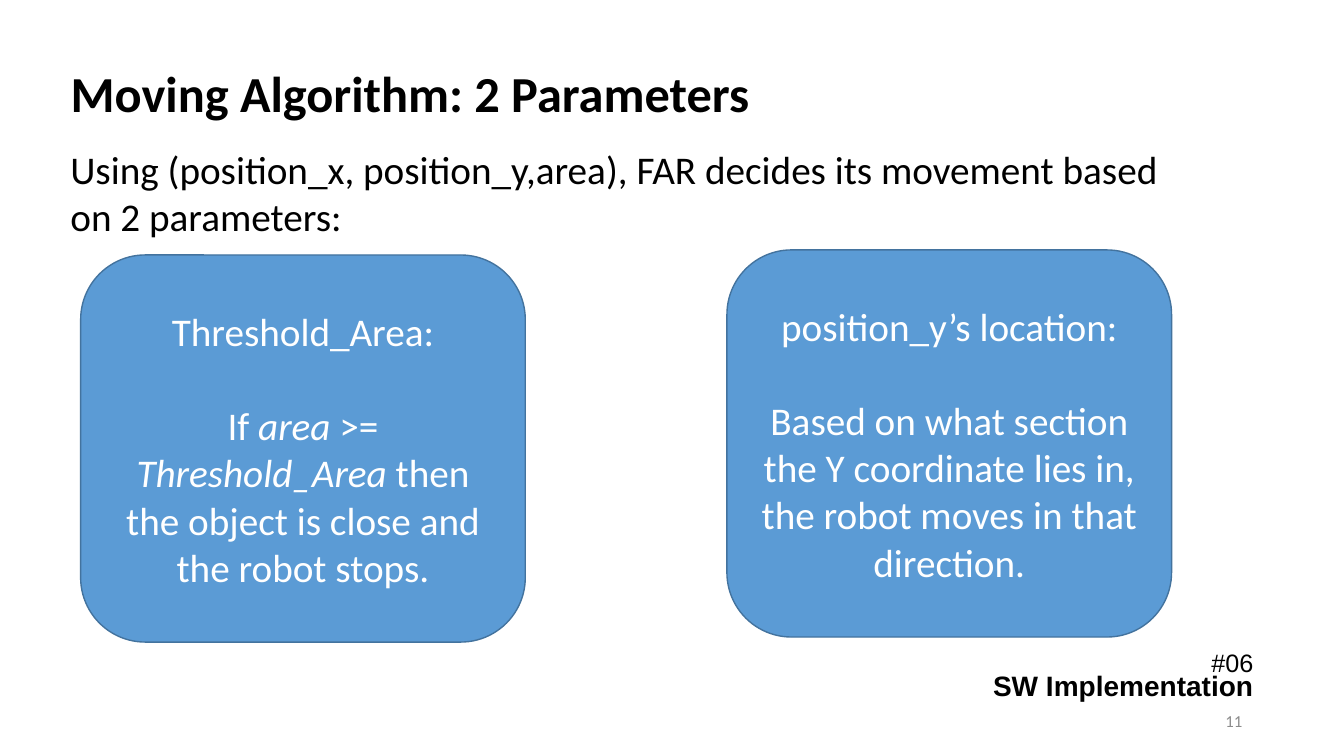
from pptx import Presentation
from pptx import util as u
from pptx.dml.color import RGBColor
from pptx.enum import shapes, text

PX = 9144  # EMU in one px, 100 px to the inch
COLORS = {
    "ink": "000000",
    "muted": "8C8C8C",
    "card": "5B9BD5",
    "card_edge": "43739E",
    "on_card": "FFFFFF",
}
LEFT, CENTER, RIGHT = text.PP_ALIGN.LEFT, text.PP_ALIGN.CENTER, text.PP_ALIGN.RIGHT
TOP, MIDDLE = text.MSO_ANCHOR.TOP, text.MSO_ANCHOR.MIDDLE


def color(name):
    return RGBColor.from_string(COLORS[name])


def emu(box):
    return [u.Emu(length * PX) for length in box]


def style(paragraph, size, ink="ink", face="Calibri", bold=False, align=LEFT):
    paragraph.alignment = align
    font = paragraph.font
    font.name, font.size, font.bold = face, u.Pt(size), bold
    font.color.rgb = color(ink)


def add_label(slide, box, wording, anchor=TOP, **looks):
    frame = slide.shapes.add_textbox(*emu(box)).text_frame
    frame.word_wrap = True
    frame.vertical_anchor = anchor
    frame.text = wording
    style(frame.paragraphs[0], **looks)


def add_heading(slide, box):
    title = slide.shapes.title
    title.left, title.top, title.width, title.height = emu(box)
    frame = title.text_frame
    frame.text = "Moving Algorithm: 2 Parameters"
    frame.word_wrap = True
    frame.auto_size = text.MSO_AUTO_SIZE.NONE
    frame.vertical_anchor = MIDDLE
    heading = frame.paragraphs[0]
    heading.line_spacing = 0.9
    style(heading, 36, bold=True)


def add_parameter_card(slide, box, name, rule):
    """Rounded card; rule is a list of (wording, italic) pieces."""
    card = slide.shapes.add_shape(shapes.MSO_SHAPE.ROUNDED_RECTANGLE, *emu(box))
    card.shadow.inherit = False
    card.fill.solid()
    card.fill.fore_color.rgb = color("card")
    card.line.color.rgb = color("card_edge")
    card.line.width = u.Pt(1)

    frame = card.text_frame
    frame.word_wrap = True
    frame.vertical_anchor = MIDDLE
    frame.text = name
    explanation = frame.add_paragraph()
    explanation.space_before = u.Pt(34)
    for wording, italic in rule:
        piece = explanation.add_run()
        piece.text = wording
        piece.font.italic = italic
    for paragraph in frame.paragraphs:
        style(paragraph, 28, "on_card", align=CENTER)


def add_footer(slide, box):
    left, top, width, height = box
    # Section number and name, right-aligned to the box
    add_label(slide, (left, top, width, 40), "#06",
              size=18, face="Arial", align=RIGHT)
    add_label(slide, (left, top + 21, width, 44), "SW Implementation",
              size=20, face="Arial", bold=True, align=RIGHT)
    # Slide number
    add_label(slide, (left, top + height - 40, width - 11, 40), "11", MIDDLE,
              size=12, ink="muted", align=RIGHT)


def add_parameters_slide(deck):
    slide = deck.slides.add_slide(deck.slide_layouts[5])
    add_heading(slide, (60, 23, 1221, 145))
    add_footer(slide, (973, 637, 280, 98))
    # Introduction
    add_label(slide, (60, 139, 1143, 104),
              "Using (position_x, position_y,area), FAR decides its movement "
              "based on 2 parameters:", size=28)
    # The two parameters
    add_parameter_card(slide, (80, 253, 441, 384), "Threshold_Area:", [
        ("If ", False), ("area", True), (" >= ", False), ("Threshold_Area", True),
        (" then the object is close and the robot stops.", False)])
    add_parameter_card(slide, (721, 248, 441, 384), "position_y’s location:", [
        ("Based on what section the Y coordinate lies in, "
         "the robot moves in that direction.", False)])


def main():
    deck = Presentation()
    deck.slide_width, deck.slide_height = emu((1333, 750))
    add_parameters_slide(deck)
    deck.save("out.pptx")


if __name__ == "__main__":
    main()
